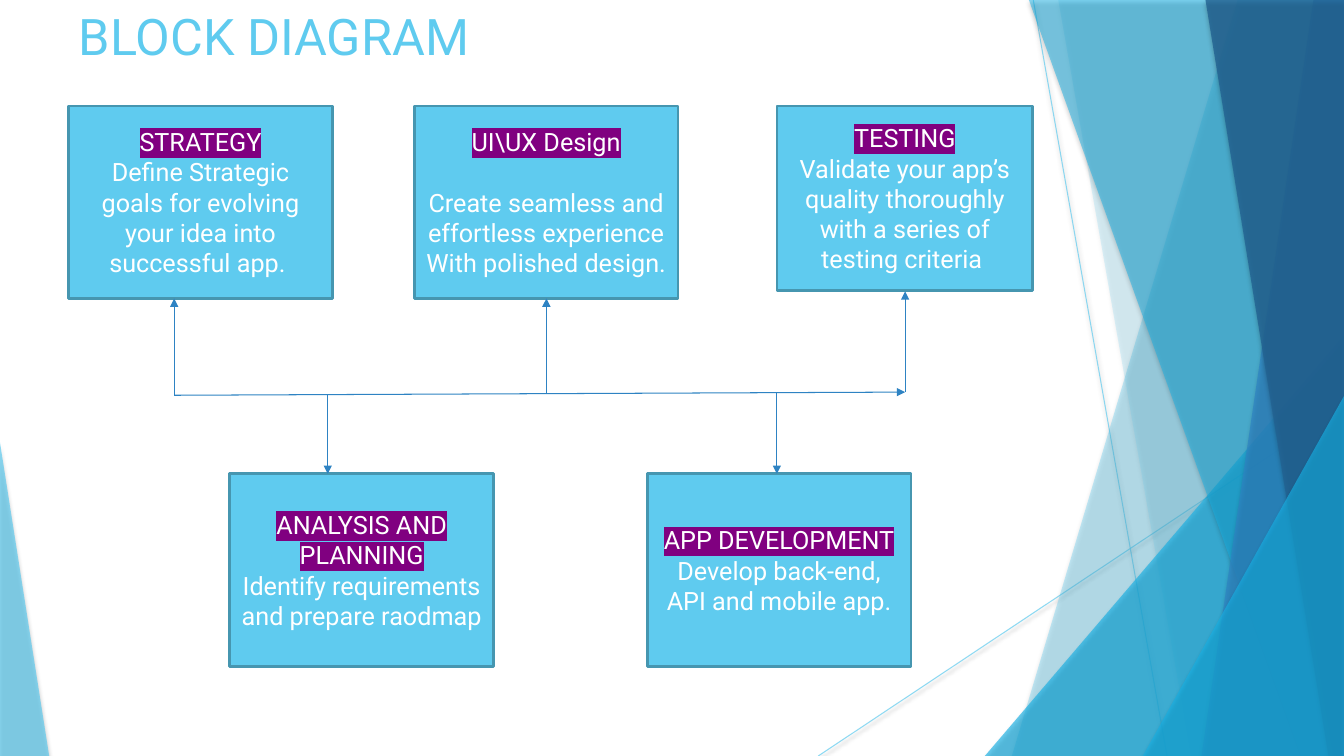
from dataclasses import dataclass
from typing import NamedTuple

from lxml import etree
from pptx import Presentation
from pptx.dml.color import RGBColor
from pptx.enum.shapes import MSO_CONNECTOR, MSO_SHAPE
from pptx.enum.text import MSO_ANCHOR, MSO_AUTO_SIZE, PP_ALIGN
from pptx.oxml.ns import qn
from pptx.util import Cm, Pt

STRAIGHT = MSO_CONNECTOR.STRAIGHT
BOX, WEDGE = MSO_SHAPE.RECTANGLE, MSO_SHAPE.ISOSCELES_TRIANGLE
TOP, MIDDLE = MSO_ANCHOR.TOP, MSO_ANCHOR.MIDDLE
LEFT, CENTER = PP_ALIGN.LEFT, PP_ALIGN.CENTER
NO_FIT = MSO_AUTO_SIZE.NONE
WIDE, HIGH = 33.87, 19.05


@dataclass(frozen=True)
class Theme:
    font: str = "Roboto"
    sky: str = "5FCBEF"
    cyan: str = "17B0E4"
    blue: str = "2E83C3"
    navy: str = "226292"
    edge: str = "4696B0"
    white: str = "FFFFFF"
    mark: str = "800080"
    title: float = 36
    body: float = 18
    gap: float = 21.6
    hair: float = 0.75
    frame: float = 2


class Point(NamedTuple):
    x: float
    y: float


class Shade(NamedTuple):
    alpha: int
    blur: float
    drop: float


class Facet(NamedTuple):
    """A band from its slanted left side to the right slide edge."""
    top: float
    foot: float
    hue: str
    alpha: int


class Spike(NamedTuple):
    """A right triangle standing on the bottom slide edge."""
    left: float
    top: float
    width: float
    apex: int
    hue: str
    alpha: int


class Block(NamedTuple):
    left: float
    top: float
    head: str
    lines: list[str]
    gap: float = 0
    width: float = 6.65
    height: float = 4.85


class Branch(NamedTuple):
    x: float
    end: float


THEME = Theme()
SOFT, THIN = Shade(35, 3, 2), Shade(38, 3.1, 1.6)
RAYS = [(Point(26.04, 0), Point(29.41, HIGH)),
        (Point(WIDE, 10.24), Point(20.62, HIGH))]
DECOR = [
    Facet(31.19, 25.5, THEME.sky, 36),
    Facet(26.67, 30.02, THEME.sky, 20),
    Spike(24.82, 8.46, 9.05, 1, THEME.cyan, 66),
    Facet(25.93, 32.79, THEME.cyan, 50),
    Facet(33.1, 30.28, THEME.blue, 70),
    Facet(30.38, 33.48, THEME.navy, 80),
    Spike(28.8, 9.98, 5.07, 1, THEME.cyan, 66),
    Spike(0, 11.15, 1.24, 0, THEME.sky, 70),
]
UPPER, LOWER = 2.67, 11.94
BLOCKS = [
    Block(1.73, UPPER, "STRATEGY",
          ["Define Strategic goals for evolving your idea into successful app. "]),
    Block(10.44, UPPER, "UI\\UX Design",
          ["Create seamless and effortless experience",
           "With polished design. "], gap=THEME.gap),
    Block(19.58, UPPER, "TESTING",
          ["Validate your app’s quality thoroughly with a series of testing criteria "],
          width=6.45, height=4.65),
    Block(5.79, LOWER, "ANALYSIS AND PLANNING",
          ["Identify requirements and prepare raodmap"]),
    Block(16.31, LOWER, "APP DEVELOPMENT",
          ["Develop back-end, API and mobile app."]),
]
START, END = Point(4.39, 9.96), Point(22.81, 9.88)
BRANCHES = [Branch(22.81, 7.34), Branch(4.39, 7.52), Branch(8.26, LOWER),
            Branch(19.58, LOWER), Branch(13.77, 7.52)]


def fade(shape, alpha: int) -> None:
    """Make the colour of a shape or line see-through."""
    hue = next(shape._element.spPr.iter(qn("a:srgbClr")))
    etree.SubElement(hue, qn("a:alpha"), val=str(alpha * 1000))


def cast(shape, shade: Shade | None = None) -> None:
    """Give a shape its own shadow, or none at all."""
    effects = etree.SubElement(shape._element.spPr, qn("a:effectLst"))
    if shade:
        outer = etree.SubElement(effects, qn("a:outerShdw"), blurRad=str(Pt(shade.blur)),
                                 dist=str(Pt(shade.drop)), dir="5400000",
                                 algn="t", rotWithShape="0")
        hue = etree.SubElement(outer, qn("a:srgbClr"), val="000000")
        etree.SubElement(hue, qn("a:alpha"), val=str(shade.alpha * 1000))


def paint(shape, hue: str) -> None:
    shape.fill.solid()
    shape.fill.fore_color.rgb = RGBColor.from_string(hue)


def draw_line(slide, start: Point, end: Point, hue: str):
    line = slide.shapes.add_connector(STRAIGHT, Cm(start.x), Cm(start.y),
                                      Cm(end.x), Cm(end.y))
    line.line.color.rgb = RGBColor.from_string(hue)
    line.line.width = Pt(THEME.hair)
    return line


def draw_ray(slide, start: Point, end: Point) -> None:
    ray = draw_line(slide, start, end, THEME.sky)
    fade(ray, 70)
    cast(ray, THIN)


def draw_arrow(slide, start: Point, end: Point) -> None:
    arrow = draw_line(slide, start, end, THEME.blue)
    etree.SubElement(arrow.line._get_or_add_ln(), qn("a:tailEnd"), type="triangle")
    cast(arrow)


def draw_decor(slide, part: Facet | Spike) -> None:
    if isinstance(part, Facet):
        pen = slide.shapes.build_freeform(Cm(part.top), 0)
        pen.add_line_segments([(Cm(WIDE), 0), (Cm(WIDE), Cm(HIGH)),
                               (Cm(part.foot), Cm(HIGH))])
        shape = pen.convert_to_shape()
    else:
        shape = slide.shapes.add_shape(WEDGE, Cm(part.left), Cm(part.top),
                                       Cm(part.width), Cm(HIGH - part.top))
        shape.adjustments[0] = part.apex
    paint(shape, part.hue)
    fade(shape, part.alpha)
    shape.line.fill.background()
    cast(shape, SOFT)


def add_text(para, text: str, size: float, hue: str, mark: str = "") -> None:
    run = para.add_run()
    run.text = text
    run.font.size = Pt(size)
    run.font.color.rgb = RGBColor.from_string(hue)
    run.font.name = THEME.font
    if mark:
        props = run.font._element
        light = etree.SubElement(props, qn("a:highlight"))
        etree.SubElement(light, qn("a:srgbClr"), val=mark)
        props.find(qn("a:latin")).addprevious(light)


def draw_block(slide, block: Block) -> None:
    shape = slide.shapes.add_shape(BOX, Cm(block.left), Cm(block.top),
                                   Cm(block.width), Cm(block.height))
    shape.shadow.inherit = False
    paint(shape, THEME.sky)
    shape.line.color.rgb = RGBColor.from_string(THEME.edge)
    shape.line.width = Pt(THEME.frame)
    frame = shape.text_frame
    frame.word_wrap = True
    frame.vertical_anchor = MIDDLE
    head = frame.paragraphs[0]
    head.alignment = CENTER
    add_text(head, block.head, THEME.body, THEME.white, THEME.mark)
    for index, text in enumerate(block.lines):
        para = frame.add_paragraph()
        para.alignment = CENTER
        para.space_before = Pt(0 if index else block.gap)
        add_text(para, text, THEME.body, THEME.white)


def draw_title(slide) -> None:
    title = slide.shapes.title
    title.left, title.top, title.width, title.height = Cm(1.73), Cm(0), Cm(23.88), Cm(2.67)
    frame = title.text_frame
    frame.auto_size = NO_FIT
    frame.vertical_anchor = TOP
    frame.paragraphs[0].alignment = LEFT
    add_text(frame.paragraphs[0], "BLOCK DIAGRAM", THEME.title, THEME.sky)


def main() -> None:
    deck = Presentation()
    deck.slide_width, deck.slide_height = Cm(WIDE), Cm(HIGH)
    slide = deck.slides.add_slide(deck.slide_layouts[5])
    for start, end in RAYS:
        draw_ray(slide, start, end)
    for part in DECOR:
        draw_decor(slide, part)
    for block in BLOCKS:
        draw_block(slide, block)
    draw_title(slide)
    draw_arrow(slide, START, END)
    slope = (END.y - START.y) / (END.x - START.x)
    for x, end in BRANCHES:
        draw_arrow(slide, Point(x, START.y + slope * (x - START.x)), Point(x, end))
    deck.save("out.pptx")


if __name__ == "__main__":
    main()
